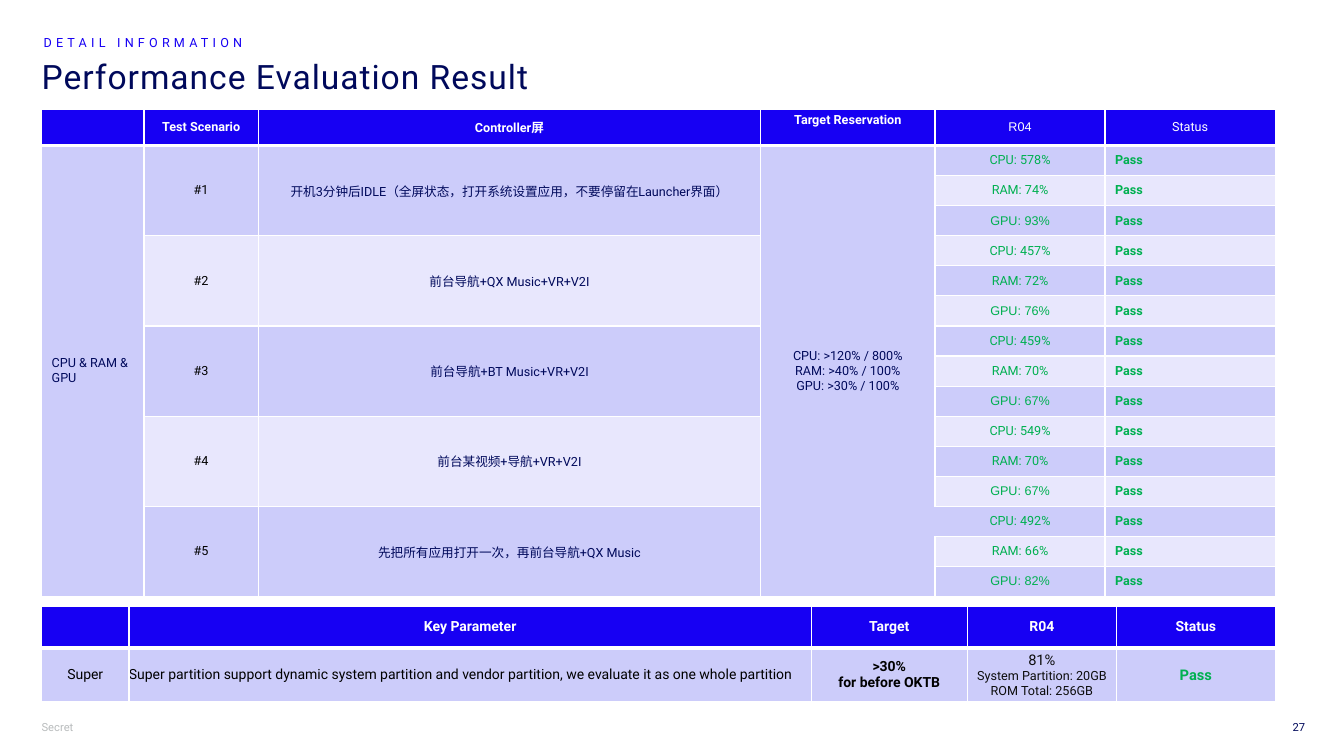
from lxml.etree import SubElement
from pptx import Presentation
from pptx.dml.color import RGBColor
from pptx.enum.text import MSO_ANCHOR as Anchor, PP_ALIGN as Align
from pptx.oxml.ns import qn
from pptx.util import Pt

WHITE = RGBColor(0xFF, 0xFF, 0xFF)
BLACK = RGBColor(0, 0, 0)
INK = RGBColor(0x0D, 0x0D, 0x0D)
NAVY = RGBColor(0x00, 0x09, 0x5B)
BLUE = RGBColor(0x17, 0x00, 0xF3)
GREEN = RGBColor(0x00, 0xB0, 0x50)
GREY = RGBColor(0xB9, 0xBC, 0xBD)
BANDS = [RGBColor(0xCC, 0xCC, 0xFA), RGBColor(0xE8, 0xE7, 0xFD)]

METRICS = ["CPU", "RAM", "GPU"]
SCENARIOS = [
    ("开机3分钟后IDLE（全屏状态，打开系统设置应用，不要停留在Launcher界面）", (578, 74, 93)),
    ("前台导航+QX Music+VR+V2I", (457, 72, 76)),
    ("前台导航+BT Music+VR+V2I", (459, 70, 67)),
    ("前台某视频+导航+VR+V2I", (549, 70, 67)),
    ("先把所有应用打开一次，再前台导航+QX Music", (492, 66, 82)),
]
TARGETS = ["CPU: >120% / 800%", "RAM: >40% / 100%", "GPU: >30% / 100%"]


def write_line(paragraph, text, color, size=9, bold=False, name="Roboto",
               align=Align.CENTER, tracking=0, line_spacing=None):
    paragraph.alignment = align
    if line_spacing:
        paragraph.line_spacing = line_spacing
    run = paragraph.add_run()
    run.text = text
    for key, value in {"size": Pt(size), "bold": bold, "name": name}.items():
        setattr(run.font, key, value)
    run.font.color.rgb = color
    if tracking:
        run.font._element.set("spc", str(round(tracking * 100)))


def set_frame(frame, right):
    values = {"margin_left": 0, "margin_right": Pt(right), "margin_top": Pt(3.6),
              "margin_bottom": Pt(3.6), "vertical_anchor": Anchor.TOP, "word_wrap": True}
    for key, value in values.items():
        setattr(frame, key, value)


def add_label(slide, box, text, right=7.2, **style):
    frame = slide.shapes.add_textbox(*map(Pt, box)).text_frame
    set_frame(frame, right)
    write_line(frame.paragraphs[0], text, **style)


def add_heading(slide, box):
    left, top, width, height = box
    add_label(slide, (left + 1.4, top, 428, 16), "DETAIL INFORMATION", color=BLUE,
              align=Align.LEFT, tracking=3, line_spacing=0.9)
    title = slide.shapes.title
    place = {"left": left, "top": top + 17.3, "width": width, "height": height - 17.3}
    for key, value in place.items():
        setattr(title, key, Pt(value))
    set_frame(title.text_frame, 7.2)
    write_line(title.text_frame.paragraphs[0], "Performance Evaluation Result", NAVY,
               size=24, align=Align.LEFT, tracking=0.7, line_spacing=0.9)


def fill_cell(cell, lines, fill, side=0, bottom=0, **style):
    values = {"margin_left": Pt(side), "margin_right": Pt(side), "margin_top": 0,
              "margin_bottom": Pt(bottom), "vertical_anchor": Anchor.MIDDLE}
    for key, value in values.items():
        setattr(cell, key, value)
    frame = cell.text_frame
    for index, line in enumerate(lines):
        paragraph = frame.add_paragraph() if index else frame.paragraphs[0]
        write_line(paragraph, line, **style)
    cell.fill.solid()
    cell.fill.fore_color.rgb = fill


def set_borders(table, open_sides):
    for row in range(len(table.rows)):
        for column in range(len(table.columns)):
            properties = table.cell(row, column)._tc.get_or_add_tcPr()
            for index, side in enumerate("LRTB"):
                is_open = (row, column, side) in open_sides
                points = 3 if (row, side) in ((0, "B"), (1, "T")) else 1
                line = properties.makeelement(qn(f"a:ln{side}"), {"w": str(Pt(points))})
                properties.insert(index, line)
                paint = SubElement(line, qn("a:noFill" if is_open else "a:solidFill"))
                if not is_open:
                    SubElement(paint, qn("a:srgbClr"), val=str(WHITE))


def add_grid(slide, box, widths, heights, open_sides=()):
    table = slide.shapes.add_table(len(heights), len(widths), *map(Pt, box)).table
    for column, width in zip(table.columns, widths):
        column.width = Pt(width)
    for row, height in zip(table.rows, heights):
        row.height = Pt(height)
    set_borders(table, open_sides)
    return table


def add_scenario_table(slide, box):
    header_height = 25.9
    count = len(SCENARIOS) * len(METRICS)
    heights = [header_height] + [(box[3] - header_height) / count] * count
    last_start = count - len(METRICS) + 1
    table = add_grid(slide, box, [73.2, 81.6, 358.8, 124.6, 121.5, 121.5], heights,
                     {(last_start, 3, "R"), (last_start, 4, "L")})
    headers = ["", "Test Scenario", "Controller屏", "Target Reservation", "R04", "Status"]
    for column, text in enumerate(headers):
        fill_cell(table.cell(0, column), [text] if text else [], BLUE, color=WHITE,
                  bold=column < 4, name="Arial" if text == "R04" else "Roboto",
                  bottom=10.5 if column == 3 else 0)
    for column in (0, 3):
        table.cell(1, column).merge(table.cell(count, column))
    fill_cell(table.cell(1, 0), ["CPU & RAM & GPU"], BANDS[0], side=7.2, color=NAVY,
              align=Align.LEFT)
    fill_cell(table.cell(1, 3), TARGETS, BANDS[0], color=NAVY)
    for index, (scenario, results) in enumerate(SCENARIOS):
        start = 1 + index * len(METRICS)
        entries = [(1, f"#{index + 1}", BLACK), (2, scenario, NAVY)]
        for column, text, color in entries:
            cell = table.cell(start, column)
            cell.merge(table.cell(start + len(METRICS) - 1, column))
            fill_cell(cell, [text], BANDS[index % 2], color=color)
        for row, (metric, result) in enumerate(zip(METRICS, results), start):
            fill = BANDS[(row - 1) % 2]
            fill_cell(table.cell(row, 4), [f"{metric}: {result}%"], fill, color=GREEN,
                      name="Arial" if metric == "GPU" else "Roboto")
            fill_cell(table.cell(row, 5), ["Pass"], fill, side=7.2, color=GREEN,
                      bold=True, align=Align.LEFT)


def add_partition_table(slide, box):
    header_height = 29.9
    table = add_grid(slide, box, [62.4, 487.4, 111.4, 106.7, 113.3],
                     [header_height, box[3] - header_height])
    for column, text in enumerate(["", "Key Parameter", "Target", "R04", "Status"]):
        fill_cell(table.cell(0, column), [text] if text else [], BLUE, color=WHITE,
                  size=10, bold=True)
    support = ("Super partition support dynamic system partition and vendor partition, "
               "we evaluate it as one whole partition")
    entries = [
        (["Super"], {"color": BLACK, "size": 10}),
        ([support], {"color": BLACK, "size": 10, "align": Align.LEFT}),
        ([">30%", "for before OKTB"], {"color": BLACK, "size": 10, "bold": True}),
        (["81%", "System Partition: 20GB", "ROM Total: 256GB"], {"color": INK}),
        (["Pass"], {"color": GREEN, "size": 10.5, "bold": True}),
    ]
    for column, (lines, style) in enumerate(entries):
        fill_cell(table.cell(1, column), lines, BANDS[0], **style)
    table.cell(1, 3).text_frame.paragraphs[0].runs[0].font.size = Pt(10.5)


def add_footer(slide, box):
    left, top, width, height = box
    add_label(slide, (left, top, 60, height), "Secret", color=GREY, size=8,
              align=Align.LEFT)
    add_label(slide, (left + width - 25, top, 25, height), "27", right=0, color=NAVY,
              size=8, align=Align.RIGHT)


def main():
    presentation = Presentation()
    presentation.slide_width, presentation.slide_height = Pt(960), Pt(540)
    slide = presentation.slides.add_slide(presentation.slide_layouts[5])
    left, width = 29.7, 881.2
    add_heading(slide, (left, 22.3, 828, 71.3))
    add_scenario_table(slide, (left, 78, width, 348.4))
    add_partition_table(slide, (left, 433, width, 68.4))
    add_footer(slide, (left, 511.2, 902.7, 17.3))
    presentation.save("out.pptx")


if __name__ == "__main__":
    main()
